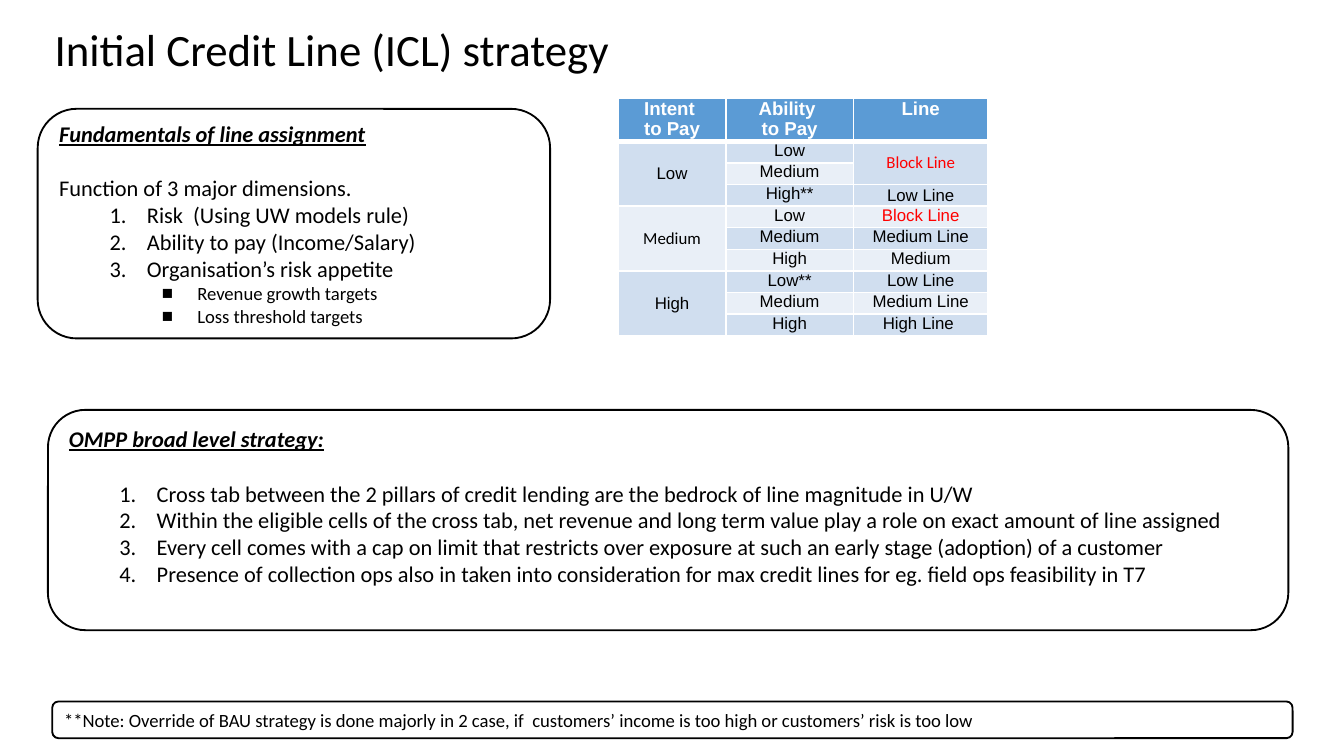
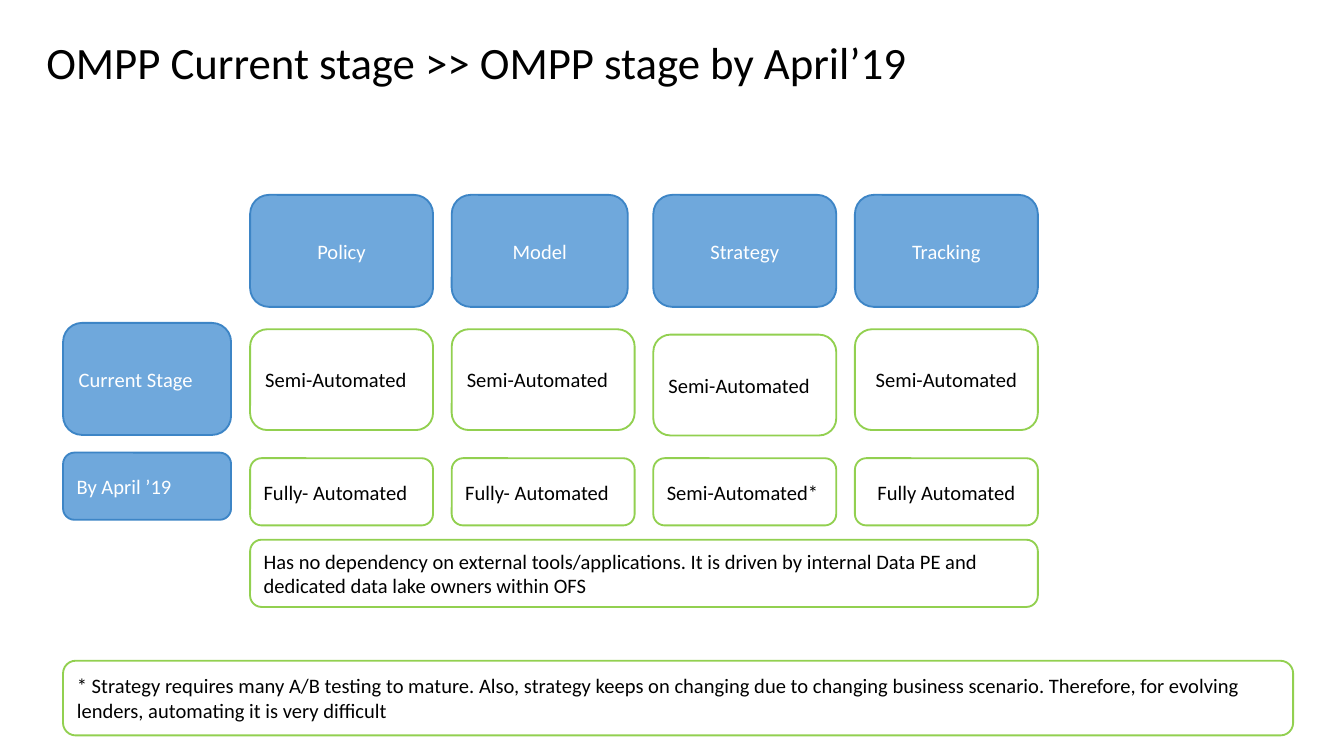
from dataclasses import dataclass
from typing import NamedTuple, Optional

from lxml.etree import SubElement
from pptx import Presentation
from pptx.dml.color import RGBColor
from pptx.enum.shapes import MSO_SHAPE
from pptx.enum.text import MSO_ANCHOR, MSO_AUTO_SIZE, PP_ALIGN
from pptx.oxml.ns import qn
from pptx.slide import Slide
from pptx.table import _Cell
from pptx.text.text import TextFrame, _Paragraph
from pptx.util import Pt


@dataclass(frozen=True)
class Theme:
    """Colours, fonts and type sizes shared by the slides."""

    black: RGBColor = RGBColor(0x00, 0x00, 0x00)
    white: RGBColor = RGBColor(0xFF, 0xFF, 0xFF)
    red: RGBColor = RGBColor(0xFF, 0x00, 0x00)
    blue: RGBColor = RGBColor(0x6F, 0xA8, 0xDC)
    blue_line: RGBColor = RGBColor(0x3D, 0x85, 0xC6)
    green_line: RGBColor = RGBColor(0x92, 0xD0, 0x50)
    table_header: RGBColor = RGBColor(0x5B, 0x9B, 0xD5)
    band_light: RGBColor = RGBColor(0xE9, 0xEF, 0xF7)
    band_dark: RGBColor = RGBColor(0xD0, 0xDE, 0xEF)
    font: str = "Calibri"
    table_font: str = "Arial"
    title_size: float = 24
    body_size: float = 12
    box_size: float = 11
    small_size: float = 10
    cell_size: float = 9
    blank_line: float = 14.6


THEME = Theme()


class Frame(NamedTuple):
    """Position and size in points."""

    left: float
    top: float
    width: float
    height: float


class BoxStyle(NamedTuple):
    """Fill, outline and text colour of a rounded box."""

    fill: Optional[RGBColor]
    line: RGBColor
    text: RGBColor


class Bullet(NamedTuple):
    """Bullet mark, level and indents in points."""

    tag: str
    attribute: str
    value: str
    level: int
    margin: float
    indent: float


class Line(NamedTuple):
    """One paragraph of a box."""

    text: str
    size: float = THEME.box_size
    heading: bool = False
    bullet: Optional[Bullet] = None
    space_before: float = 0
    alignment: PP_ALIGN = PP_ALIGN.LEFT


class LineCell(NamedTuple):
    """One body cell of the credit line table."""

    row: int
    column: int
    text: str
    rows: int = 1
    middle: bool = False
    font: str = THEME.table_font


OUTLINED = BoxStyle(THEME.white, THEME.black, THEME.black)
BLUE = BoxStyle(THEME.blue, THEME.blue_line, THEME.white)
GREEN = BoxStyle(None, THEME.green_line, THEME.black)
NUMBER = Bullet("a:buAutoNum", "type", "arabicPeriod", 1, 47, -20)
SQUARE = Bullet("a:buChar", "char", "■", 2, 74, -19)

FUNDAMENTALS = [
    Line("Fundamentals of line assignment", THEME.body_size, heading=True),
    Line("Function of 3 major dimensions.", THEME.body_size, space_before=THEME.blank_line),
    Line("Risk  (Using UW models rule)", THEME.body_size, bullet=NUMBER),
    Line("Ability to pay (Income/Salary)", THEME.body_size, bullet=NUMBER),
    Line("Organisation’s risk appetite", THEME.body_size, bullet=NUMBER),
    Line("Revenue growth targets", THEME.small_size, bullet=SQUARE),
    Line("Loss threshold targets", THEME.small_size, bullet=SQUARE),
]
BROAD_STRATEGY = [
    Line("OMPP broad level strategy:", THEME.body_size, heading=True),
    Line("Cross tab between the 2 pillars of credit lending are the bedrock of line magnitude in U/W",
         THEME.body_size, bullet=NUMBER, space_before=THEME.blank_line),
    Line("Within the eligible cells of the cross tab, net revenue and long term value play a role "
         "on exact amount of line assigned", THEME.body_size, bullet=NUMBER),
    Line("Every cell comes with a cap on limit that restricts over exposure at such an early stage "
         "(adoption) of a customer", THEME.body_size, bullet=NUMBER),
    Line("Presence of collection ops also in taken into consideration for max credit lines for eg. "
         "field ops feasibility in T7", THEME.body_size, bullet=NUMBER),
]
OVERRIDE_NOTE = ("**Note: Override of BAU strategy is done majorly in 2 case, if  customers’ income "
                 "is too high or customers’ risk is too low")

TABLE_HEADERS = ["Intent \nto Pay", "Ability \nto Pay", "Line"]
ABILITIES = ["Low", "Medium", "High**", "Low", "Medium", "High", "Low**", "Medium", "High"]
TABLE_CELLS = [
    LineCell(1, 0, "Low", rows=3, middle=True),
    LineCell(4, 0, "Medium", rows=3, middle=True, font=THEME.font),
    LineCell(7, 0, "High", rows=3, middle=True),
    *(LineCell(row, 1, ability) for row, ability in enumerate(ABILITIES, 1)),
    LineCell(1, 2, "Block Line", rows=2, middle=True, font=THEME.font),
    LineCell(3, 2, "Low Line", middle=True),
    LineCell(4, 2, "Block Line"),
    LineCell(5, 2, "Medium Line"),
    LineCell(6, 2, "Medium"),
    LineCell(7, 2, "Low Line"),
    LineCell(8, 2, "Medium Line"),
    LineCell(9, 2, "High Line "),
]
COLUMN_WIDTHS = [57.6, 68.4, 72]
HEADER_HEIGHT, ROW_HEIGHT = 23, 11.6


class Stage(NamedTuple):
    """One column of the stage grid."""

    name: str
    current: str
    planned: str
    header_width: float = 98
    current_top: float = 176.4
    alignment: PP_ALIGN = PP_ALIGN.LEFT


STAGES = [
    Stage("Policy", "Semi-Automated", "Fully- Automated"),
    Stage("Model", "Semi-Automated", "Fully- Automated", header_width=94.3),
    Stage("Strategy", "Semi-Automated", "Semi-Automated*", current_top=179.3),
    Stage("Tracking", "Semi-Automated", "Fully Automated", alignment=PP_ALIGN.CENTER),
]
STAGE_LEFT, STAGE_PITCH, STAGE_WIDTH = 134, 108, 98
SIDE_LEFT, SIDE_WIDTH = 33.8, 90
DEPENDENCY_NOTE = ("Has no dependency on external tools/applications. It is driven by internal Data PE "
                   "and dedicated data lake owners within OFS")
TESTING_NOTE = ("* Strategy requires many A/B testing to mature. Also, strategy keeps on changing due to "
                "changing business scenario. Therefore, for evolving lenders, automating it is very difficult")


def set_font(paragraph: _Paragraph, size: float, color: RGBColor, name: str = THEME.font,
             bold: bool = False) -> None:
    """Format the font of a whole paragraph."""
    font = paragraph.font
    font.name, font.size, font.bold = name, Pt(size), bold
    font.color.rgb = color


def set_insets(text_frame: TextFrame) -> None:
    """Apply the shared wrapping, anchor and margins."""
    text_frame.word_wrap = True
    text_frame.auto_size = MSO_AUTO_SIZE.NONE
    text_frame.vertical_anchor = MSO_ANCHOR.MIDDLE
    text_frame.margin_left = text_frame.margin_right = Pt(5.4)
    text_frame.margin_top = text_frame.margin_bottom = Pt(2.7)


def add_bullet(paragraph: _Paragraph, bullet: Bullet) -> None:
    """Give a paragraph its indents and bullet mark."""
    paragraph.level = bullet.level
    properties = paragraph._p.get_or_add_pPr()
    properties.set("marL", str(Pt(bullet.margin)))
    properties.set("indent", str(Pt(bullet.indent)))
    color = SubElement(properties, qn("a:buClr"))
    SubElement(color, qn("a:srgbClr"), val=str(THEME.black))
    SubElement(properties, qn("a:buFont"), typeface=THEME.table_font)
    SubElement(properties, qn(bullet.tag), {bullet.attribute: bullet.value})


def add_titled_slide(presentation: Presentation, title: str, left: float, top: float) -> Slide:
    """Add a title-only slide with its title placed and formatted."""
    slide = presentation.slides.add_slide(presentation.slide_layouts[5])
    shape = slide.shapes.title
    shape.left, shape.top, shape.width, shape.height = Pt(left), Pt(top), Pt(620.6), Pt(46.8)
    shape.text_frame.text = title
    set_insets(shape.text_frame)
    paragraph = shape.text_frame.paragraphs[0]
    paragraph.alignment = PP_ALIGN.LEFT
    paragraph.line_spacing = 0.9
    set_font(paragraph, THEME.title_size, THEME.black)
    return slide


def add_box(slide: Slide, frame: Frame, style: BoxStyle, lines: list[Line],
            extra_bottom: float = 0) -> None:
    """Draw a rounded box holding the given lines."""
    shape = slide.shapes.add_shape(MSO_SHAPE.ROUNDED_RECTANGLE, *map(Pt, frame))
    shape.adjustments[0] = 0.17
    shape.shadow.inherit = False
    if style.fill is None:
        shape.fill.background()
    else:
        shape.fill.solid()
        shape.fill.fore_color.rgb = style.fill
    shape.line.color.rgb = style.line
    shape.line.width = Pt(1)
    text_frame = shape.text_frame
    set_insets(text_frame)
    text_frame.margin_bottom = Pt(2.7 + extra_bottom)
    text_frame.text = "\n".join(line.text for line in lines)
    for paragraph, line in zip(text_frame.paragraphs, lines):
        paragraph.alignment = line.alignment
        if line.space_before:
            paragraph.space_before = Pt(line.space_before)
        if line.bullet:
            add_bullet(paragraph, line.bullet)
        set_font(paragraph, line.size, style.text, bold=line.heading)
        paragraph.font.italic = paragraph.font.underline = line.heading


def format_cell(cell: _Cell, fill: RGBColor, bottom_width: float) -> None:
    """Give a cell white borders, no margins and a fill."""
    cell.margin_left = cell.margin_right = cell.margin_top = cell.margin_bottom = 0
    properties = cell._tc.get_or_add_tcPr()
    for side, width in (("L", 1), ("R", 1), ("T", 1), ("B", bottom_width)):
        border = SubElement(properties, qn(f"a:ln{side}"), w=str(Pt(width)))
        border_fill = SubElement(border, qn("a:solidFill"))
        SubElement(border_fill, qn("a:srgbClr"), val=str(THEME.white))
    cell.fill.solid()
    cell.fill.fore_color.rgb = fill


def write_cell(cell: _Cell, text: str, size: float, color: RGBColor, font: str, bold: bool) -> None:
    """Write centred text in a cell."""
    cell.text = text
    for paragraph in cell.text_frame.paragraphs:
        paragraph.alignment = PP_ALIGN.CENTER
        set_font(paragraph, size, color, font, bold)


def add_line_table(slide: Slide, left: float, top: float) -> None:
    """Draw the cross tab of intent and ability to pay."""
    row_heights = [HEADER_HEIGHT] + [ROW_HEIGHT] * len(ABILITIES)
    table = slide.shapes.add_table(len(row_heights), len(COLUMN_WIDTHS), Pt(left), Pt(top),
                                   Pt(sum(COLUMN_WIDTHS)), Pt(sum(row_heights))).table
    table.horz_banding = False
    for column, width in zip(table.columns, COLUMN_WIDTHS):
        column.width = Pt(width)
    for row_index, (row, height) in enumerate(zip(table.rows, row_heights)):
        row.height = Pt(height)
        band = THEME.band_dark if row_index % 2 else THEME.band_light
        for cell in row.cells:
            format_cell(cell, band if row_index else THEME.table_header, 1 if row_index else 3)
            set_font(cell.text_frame.paragraphs[0], THEME.cell_size, THEME.black)
    for column_index, header in enumerate(TABLE_HEADERS):
        write_cell(table.cell(0, column_index), header, THEME.small_size, THEME.white,
                   THEME.table_font, True)
    for entry in TABLE_CELLS:
        cell = table.cell(entry.row, entry.column)
        if entry.rows > 1:
            cell.merge(table.cell(entry.row + entry.rows - 1, entry.column))
        cell.vertical_anchor = MSO_ANCHOR.MIDDLE if entry.middle else MSO_ANCHOR.TOP
        color = THEME.red if entry.text == "Block Line" else THEME.black
        write_cell(cell, entry.text, THEME.cell_size, color, entry.font, False)


def build_credit_line_slide(presentation: Presentation) -> None:
    """Build the initial credit line strategy slide."""
    slide = add_titled_slide(presentation, "Initial Credit Line (ICL) strategy", 23.8, 4.3)
    add_box(slide, Frame(20.2, 58.3, 274.5, 123), OUTLINED, FUNDAMENTALS)
    add_line_table(slide, 331.2, 52.6)
    add_box(slide, Frame(28, 375.8, 664.5, 19.7), OUTLINED, [Line(OVERRIDE_NOTE, THEME.small_size)])
    add_box(slide, Frame(25.7, 219.6, 664.5, 118), OUTLINED, BROAD_STRATEGY, THEME.blank_line)


def build_stage_slide(presentation: Presentation) -> None:
    """Build the current and planned stage slide."""
    slide = add_titled_slide(presentation, "OMPP Current stage >> OMPP stage by April’19", 19.4, 11.5)
    for index, stage in enumerate(STAGES):
        left = STAGE_LEFT + index * STAGE_PITCH
        add_box(slide, Frame(left, 104.4, stage.header_width, 60), BLUE,
                [Line(stage.name, alignment=PP_ALIGN.CENTER)])
        add_box(slide, Frame(left, stage.current_top, STAGE_WIDTH, 54), GREEN,
                [Line(stage.current, alignment=stage.alignment)])
        add_box(slide, Frame(left, 245.5, STAGE_WIDTH, 36), GREEN,
                [Line(stage.planned, alignment=stage.alignment)])
    add_box(slide, Frame(SIDE_LEFT, 173, SIDE_WIDTH, 60), BLUE, [Line("Current Stage")])
    add_box(slide, Frame(SIDE_LEFT, 242.5, SIDE_WIDTH, 36), BLUE, [Line("By April ’19")])
    grid_width = STAGE_PITCH * (len(STAGES) - 1) + STAGE_WIDTH
    add_box(slide, Frame(STAGE_LEFT, 289.2, grid_width, 36), GREEN, [Line(DEPENDENCY_NOTE)])
    add_box(slide, Frame(SIDE_LEFT, 354, 659, 40), GREEN, [Line(TESTING_NOTE)])


def main() -> None:
    """Build and save the presentation."""
    presentation = Presentation()
    presentation.slide_width, presentation.slide_height = Pt(720), Pt(405)
    build_credit_line_slide(presentation)
    build_stage_slide(presentation)
    presentation.save("out.pptx")


if __name__ == "__main__":
    main()
